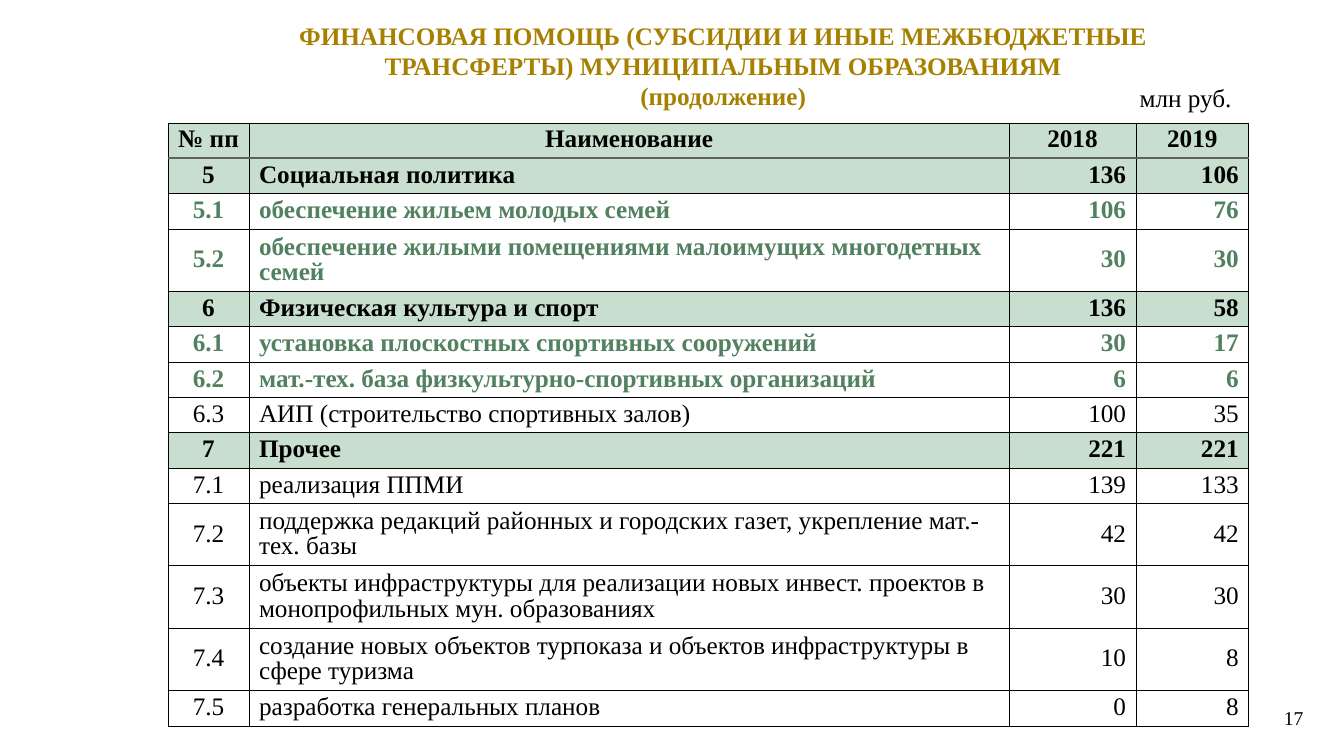
import pptx
import pptx.util
import pptx.dml.color
import pptx.enum.text
import pptx.oxml

Cm, Pt = pptx.util.Cm, pptx.util.Pt
ALIGN = pptx.enum.text.PP_ALIGN
ANCHOR = pptx.enum.text.MSO_ANCHOR
NS = "http://schemas.openxmlformats.org/drawingml/2006/main"
COLORS = {"gold": "A88000", "black": "000000", "green": "51815F",
          "mint": "C8DECE", "gray": "606060"}


def style(frame, align, size=18, color="black", bold=False):
    for para in frame.paragraphs:
        para.alignment = align
        for run in para.runs:
            run.font.name = "Times New Roman"
            run.font.size = Pt(size)
            run.font.bold = bold
            run.font.color.rgb = pptx.dml.color.RGBColor.from_string(COLORS[color])


def border(cell, sides):
    # Border lines come before the fill in the cell properties
    props = cell._tc.get_or_add_tcPr()
    for place, (side, color, width) in enumerate(sides):
        props.insert(place, pptx.oxml.parse_xml(
            f'<a:ln{side} xmlns:a="{NS}" w="{Pt(width)}"><a:solidFill>'
            f'<a:srgbClr val="{COLORS[color]}"/></a:solidFill></a:ln{side}>'))


deck = pptx.Presentation()
deck.slide_width, deck.slide_height = Cm(33.87), Cm(19.05)
slide = deck.slides.add_slide(deck.slide_layouts[6])

# Title, unit and page number
labels = [
    ("ФИНАНСОВАЯ ПОМОЩЬ (СУБСИДИИ И ИНЫЕ МЕЖБЮДЖЕТНЫЕ ТРАНСФЕРТЫ) "
     "МУНИЦИПАЛЬНЫМ ОБРАЗОВАНИЯМ\v(продолжение)",
     (7.11, 0.3, 22.23, 2.7), ANCHOR.MIDDLE, ALIGN.CENTER, 18, "gold", True),
    ("млн руб.", (28.47, 1.96, 2.97, 1.02), ANCHOR.TOP, ALIGN.LEFT, 18, "black", False),
    ("17", (27.38, 17.58, 5.72, 1.02), ANCHOR.MIDDLE, ALIGN.RIGHT, 14, "black", False),
]
for text, place, anchor, align, size, color, bold in labels:
    frame = slide.shapes.add_textbox(*map(Cm, place)).text_frame
    frame.word_wrap = True
    frame.vertical_anchor = anchor
    frame.text = text
    style(frame, align, size, color, bold)

# Table data
rows = [
    ("№ пп", "Наименование", "2018", "2019"),
    ("5", "Социальная политика", "136", "106"),
    ("5.1", "обеспечение жильем молодых семей", "106", "76"),
    ("5.2", "обеспечение жилыми помещениями малоимущих многодетных семей", "30", "30"),
    ("6", "Физическая культура и спорт", "136", "58"),
    ("6.1", "установка плоскостных спортивных сооружений", "30", "17"),
    ("6.2", "мат.-тех. база физкультурно-спортивных организаций", "6", "6"),
    ("6.3", "АИП (строительство спортивных залов)", "100", "35"),
    ("7", "Прочее", "221", "221"),
    ("7.1", "реализация ППМИ", "139", "133"),
    ("7.2", "поддержка редакций районных и городских газет, укрепление мат.-тех. базы",
     "42", "42"),
    ("7.3", "объекты инфраструктуры для реализации новых инвест. проектов в "
     "монопрофильных мун. образованиях", "30", "30"),
    ("7.4", "создание новых объектов турпоказа и объектов инфраструктуры в сфере туризма",
     "10", "8"),
    ("7.5", "разработка генеральных планов", "0", "8"),
]
green = {"5.1", "5.2", "6.1", "6.2"}
widths = [2.05, 19.15, 3.2, 2.84]
heights = [1.57 if len(row[1]) > 55 else 0.89 for row in rows]
aligns = [ALIGN.CENTER, ALIGN.LEFT, ALIGN.RIGHT, ALIGN.RIGHT]

# Table
table = slide.shapes.add_table(len(rows), len(widths), Cm(4.23), Cm(3.1),
                               Cm(sum(widths)), Cm(sum(heights))).table
table.first_row = table.horz_banding = False
for col, width in zip(table.columns, widths):
    col.width = Cm(width)
for r, row in enumerate(rows):
    table.rows[r].height = Cm(heights[r])
    head = r == 0
    group = "." not in row[0]
    color = "green" if row[0] in green else "black"
    top = ("gray", 1.5) if r == 1 else ("black", 0.5)
    base = ("gray", 1.5) if head else ("black", 0.5)
    for c, text in enumerate(row):
        cell = table.cell(r, c)
        cell.text = text
        style(cell.text_frame, ALIGN.CENTER if head else aligns[c],
              color=color, bold=group or color == "green")
        cell.text_frame.paragraphs[0].line_spacing = 0.9
        cell.vertical_anchor = ANCHOR.TOP if head else ANCHOR.MIDDLE
        cell.margin_left = cell.margin_right = Cm(0.03 if head else 0.25)
        if c == 1 and r > 1:
            cell.margin_right = 0
        cell.margin_top = cell.margin_bottom = Cm(0.1)
        if group:
            cell.fill.solid()
            cell.fill.fore_color.rgb = pptx.dml.color.RGBColor.from_string(COLORS["mint"])
        else:
            cell.fill.background()
        border(cell, [("L", "black", 0.5), ("R", "black", 0.5),
                      ("T", *top), ("B", *base)])

deck.save("out.pptx")
